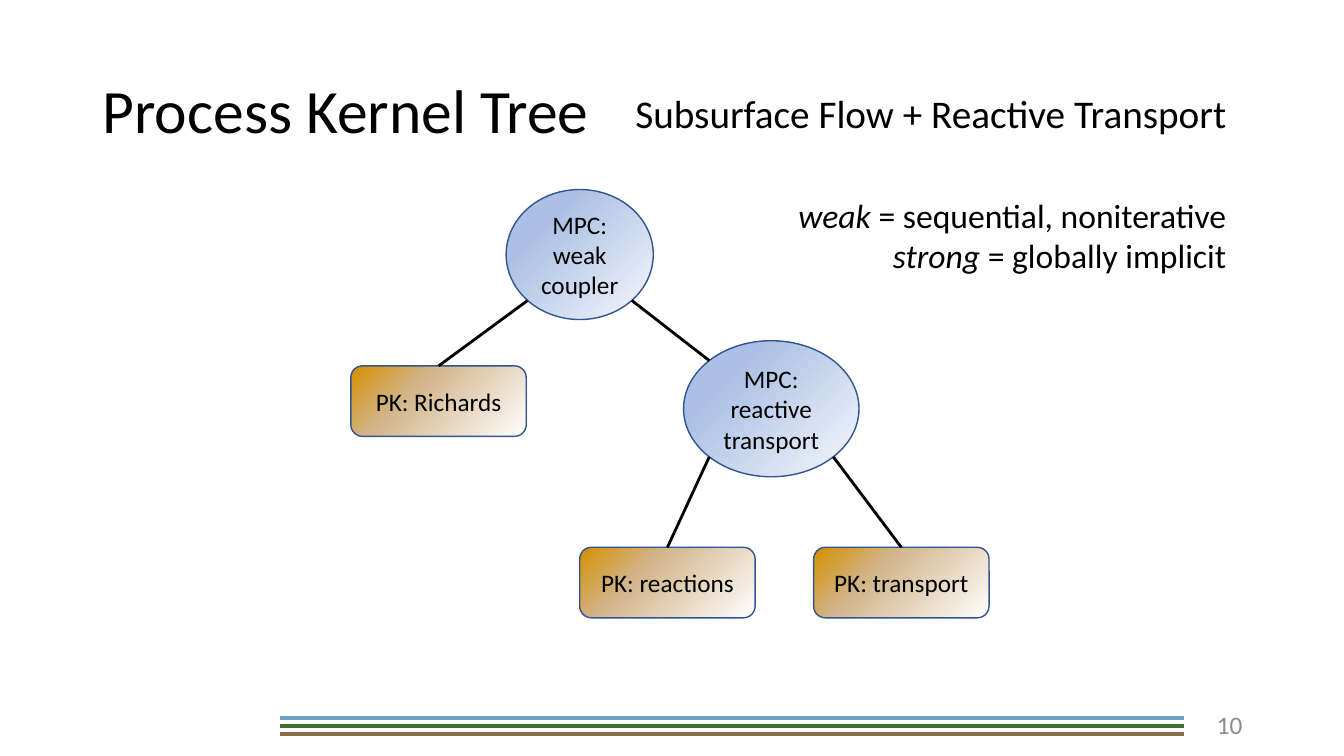
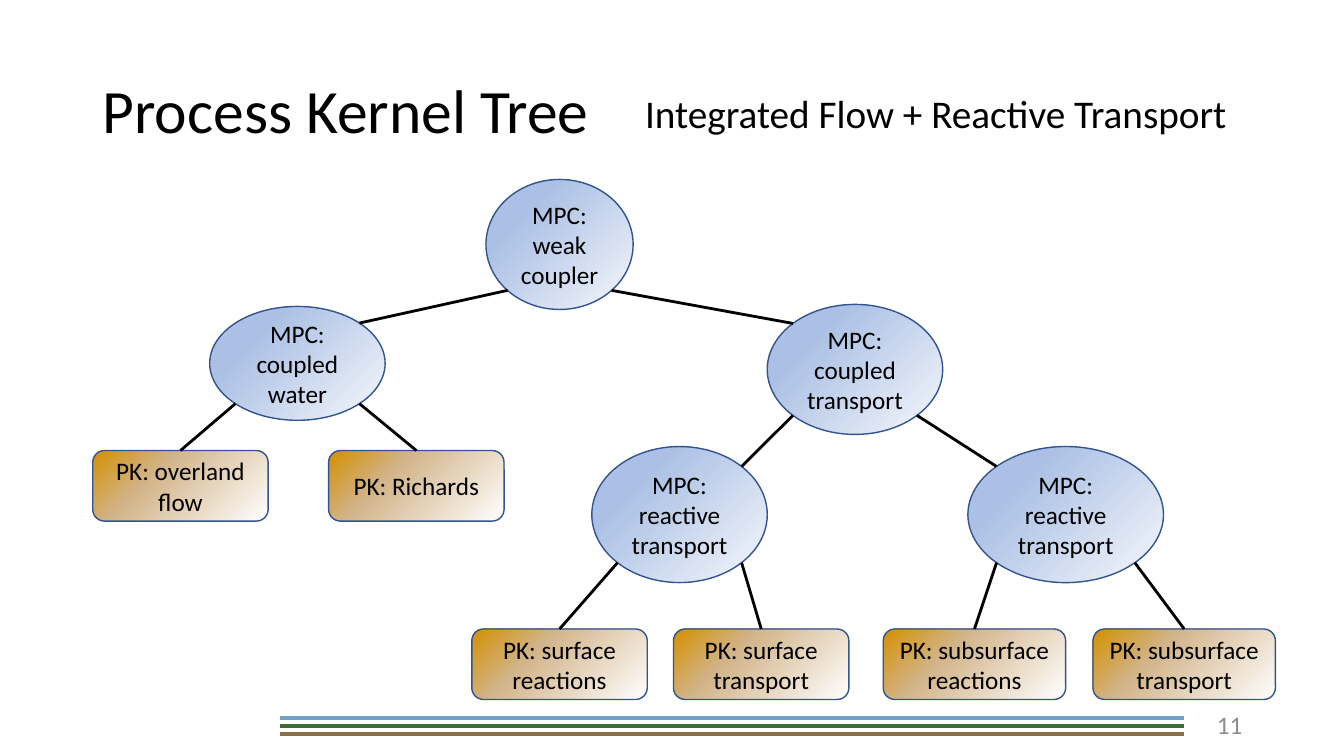
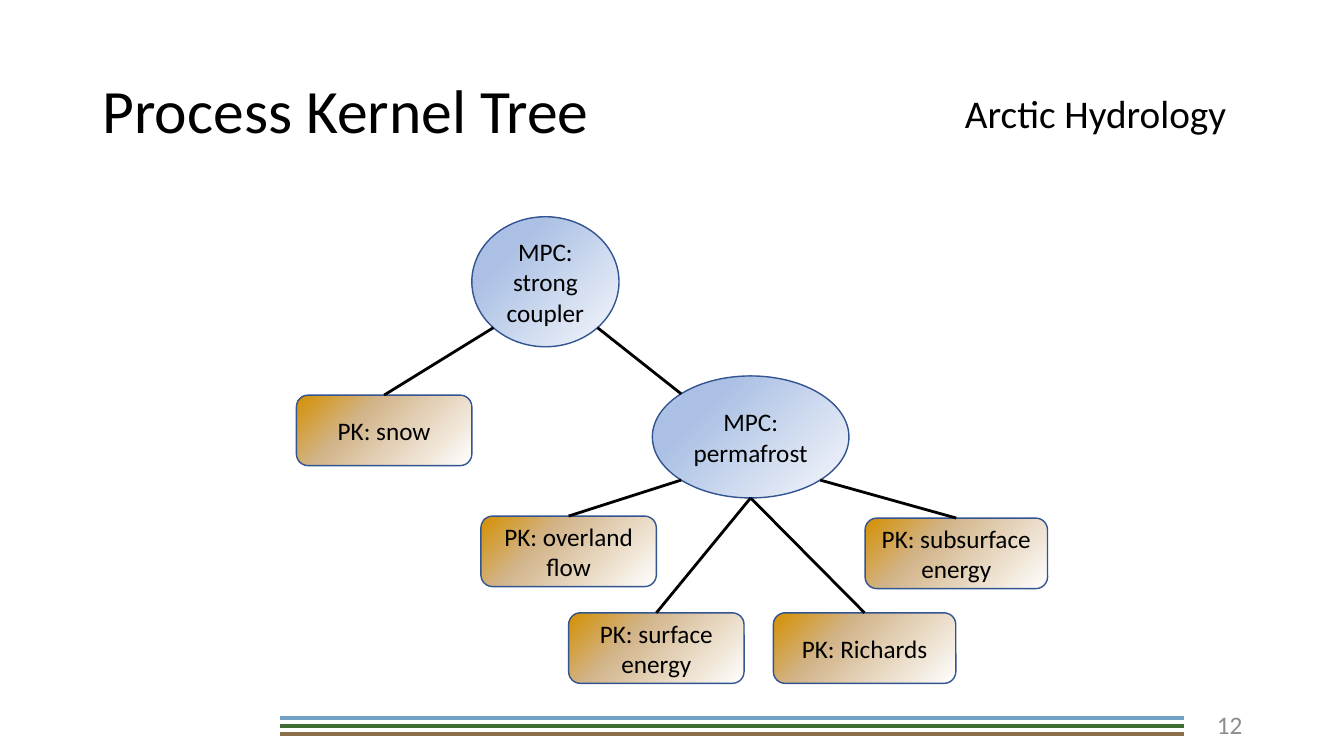
"""Build three process kernel tree slides."""
from collections import namedtuple
from dataclasses import dataclass
from math import sqrt

from lxml.etree import SubElement
from pptx import Presentation
from pptx.dml.color import RGBColor
from pptx.enum.shapes import MSO_CONNECTOR as Connector, MSO_SHAPE as Preset
from pptx.enum.text import MSO_ANCHOR as Anchor, PP_ALIGN as Align
from pptx.oxml.ns import qn
from pptx.util import Inches, Pt


@dataclass(frozen=True)
class Theme:
    font: str = "Calibri"
    ink: str = "000000"
    muted: str = "8C8C8C"
    outline: str = "325491"
    bands: tuple = ("71A2C6", "3F6E35", "8B6E4A")
    coupler: tuple = ((0, "F6F8FC"), (74, "ABC0E4"), (83, "ABC0E4"), (100, "C7D5ED"))
    kernel: tuple = ((0, "FFFFFF"), (66, "D2B489"), (100, "D49000"))
    title: int = 44
    subtitle: int = 28
    legend: int = 24
    body: int = 18


THEME = Theme()
Node = namedtuple("Node", "key parent side label left top width height")
LEFT, MIDDLE, RIGHT = -1, 0, 1

TREES = [
    ("Subsurface Flow + Reactive Transport", [
        Node("root", None, None, "MPC: weak coupler", 5.02, 1.88, 1.46, 1.29),
        Node("flow", "root", LEFT, "PK: Richards", 3.48, 3.63, 1.74, 0.7),
        Node("reactive", "root", RIGHT, "MPC: reactive transport", 6.78, 3.38, 1.74, 1.35),
        Node("reactions", "reactive", LEFT, "PK: reactions", 5.75, 5.43, 1.74, 0.7),
        Node("transport", "reactive", RIGHT, "PK: transport", 8.07, 5.43, 1.74, 0.7),
    ]),
    ("Integrated Flow + Reactive Transport", [
        Node("root", None, None, "MPC: weak coupler", 4.82, 1.78, 1.46, 1.29),
        Node("water", "root", LEFT, "MPC: coupled water", 2.08, 3.04, 1.74, 1.13),
        Node("overland", "water", LEFT, "PK: overland flow", 0.92, 4.47, 1.74, 0.7),
        Node("richards", "water", RIGHT, "PK: Richards", 3.26, 4.47, 1.74, 0.7),
        Node("coupled", "root", RIGHT, "MPC: coupled transport", 7.61, 3.02, 1.74, 1.29),
        Node("surface", "coupled", LEFT, "MPC: reactive transport", 5.87, 4.43, 1.74, 1.35),
        Node("surface reactions", "surface", LEFT, "PK: surface reactions", 4.68, 6.24, 1.74, 0.7),
        Node("surface transport", "surface", RIGHT, "PK: surface transport", 6.68, 6.24, 1.74, 0.7),
        Node("subsurface", "coupled", RIGHT, "MPC: reactive transport", 9.6, 4.43, 1.94, 1.35),
        Node("deep reactions", "subsurface", LEFT, "PK: subsurface reactions", 8.76, 6.24, 1.81, 0.7),
        Node("deep transport", "subsurface", RIGHT, "PK: subsurface transport", 10.84, 6.24, 1.81, 0.7),
    ]),
    ("Arctic Hydrology", [
        Node("root", None, None, "MPC: strong coupler", 4.68, 2.15, 1.46, 1.29),
        Node("snow", "root", LEFT, "PK: snow", 2.94, 3.92, 1.74, 0.7),
        Node("permafrost", "root", RIGHT, "MPC: permafrost", 6.47, 3.73, 1.95, 1.21),
        Node("overland", "permafrost", LEFT, "PK: overland flow", 4.77, 5.12, 1.74, 0.7),
        Node("surface", "permafrost", MIDDLE, "PK: surface energy", 5.64, 6.08, 1.74, 0.7),
        Node("richards", "permafrost", MIDDLE, "PK: Richards", 7.67, 6.08, 1.81, 0.7),
        Node("subsurface", "permafrost", RIGHT, "PK: subsurface energy", 8.58, 5.14, 1.81, 0.7),
    ]),
]
LEGEND = (" = sequential, noniterative", " = globally implicit")


def write(shape, text, size, align=Align.LEFT, anchor=Anchor.MIDDLE, color=THEME.ink):
    frame = shape.text_frame
    frame.word_wrap = True
    frame.vertical_anchor = anchor
    frame.text = text
    for para in frame.paragraphs:
        para.alignment = align
        para.font.name = THEME.font
        para.font.size = Pt(size)
        para.font.color.rgb = RGBColor.from_string(color)
    return frame


def add_line(page, start, end, color, width):
    line = page.shapes.add_connector(
        Connector.STRAIGHT, *(Inches(value) for value in (*start, *end)))
    line.line.color.rgb = RGBColor.from_string(color)
    line.line.width = Pt(width)
    SubElement(line._element.spPr, qn("a:effectLst"))
    return line


deck = Presentation()
deck.slide_width, deck.slide_height = Inches(13.33), Inches(7.5)

for number, (subtitle, nodes) in enumerate(TREES, start=10):
    page = deck.slides.add_slide(deck.slide_layouts[6])
    for row, color in enumerate(THEME.bands):
        height = 7.12 + 0.08 * row
        add_line(page, (2.78, height), (11.74, height), color, 3)

    box = page.shapes.add_textbox(Inches(0.92), Inches(0.4), Inches(11.5), Inches(1.45))
    write(box, "Process Kernel Tree", THEME.title).paragraphs[0].line_spacing = 0.9
    box = page.shapes.add_textbox(Inches(9.42), Inches(6.99), Inches(3), Inches(0.4))
    write(box, str(number), THEME.body, Align.RIGHT, color=THEME.muted)
    box = page.shapes.add_textbox(Inches(5.9), Inches(0.84), Inches(6.36), Inches(0.57))
    write(box, subtitle, THEME.subtitle, Align.RIGHT, Anchor.TOP)

    placed = {}
    for node in nodes:
        is_coupler = node.label.startswith("MPC")
        shape = page.shapes.add_shape(
            Preset.OVAL if is_coupler else Preset.ROUNDED_RECTANGLE,
            Inches(node.left), Inches(node.top), Inches(node.width), Inches(node.height))
        shape.shadow.inherit = False
        shape.line.color.rgb = RGBColor.from_string(THEME.outline)
        shape.line.width = Pt(1)
        shape.fill.gradient()
        shape.fill.gradient_angle = 135
        stops = shape._element.spPr.find(qn("a:gradFill")).find(qn("a:gsLst"))
        stops.clear()
        for position, color in THEME.coupler if is_coupler else THEME.kernel:
            stop = SubElement(stops, qn("a:gs"), pos=str(position * 1000))
            SubElement(stop, qn("a:srgbClr"), val=color)
        write(shape, node.label, THEME.body, Align.CENTER)
        placed[node.key] = node

        if node.parent:
            parent = placed[node.parent]
            reach = sqrt(0.5) if node.side else 1
            start = (parent.left + parent.width / 2 * (1 + node.side * reach),
                     parent.top + parent.height / 2 * (1 + reach))
            if is_coupler:
                end = (node.left + node.width / 2 * (1 - node.side * reach),
                       node.top + node.height / 2 * (1 - reach))
            else:
                end = (node.left + node.width / 2, node.top)
            branch = add_line(page, start, end, THEME.ink, 2)
            if not is_coupler:
                branch.end_connect(shape, 0)

    if number == 10:
        box = page.shapes.add_textbox(Inches(7.78), Inches(1.88), Inches(4.48), Inches(0.91))
        frame = write(box, "weak\nstrong", THEME.legend, Align.RIGHT, Anchor.TOP)
        for para, meaning in zip(frame.paragraphs, LEGEND):
            para.runs[0].font.italic = True
            para.add_run().text = meaning

deck.save("out.pptx")
